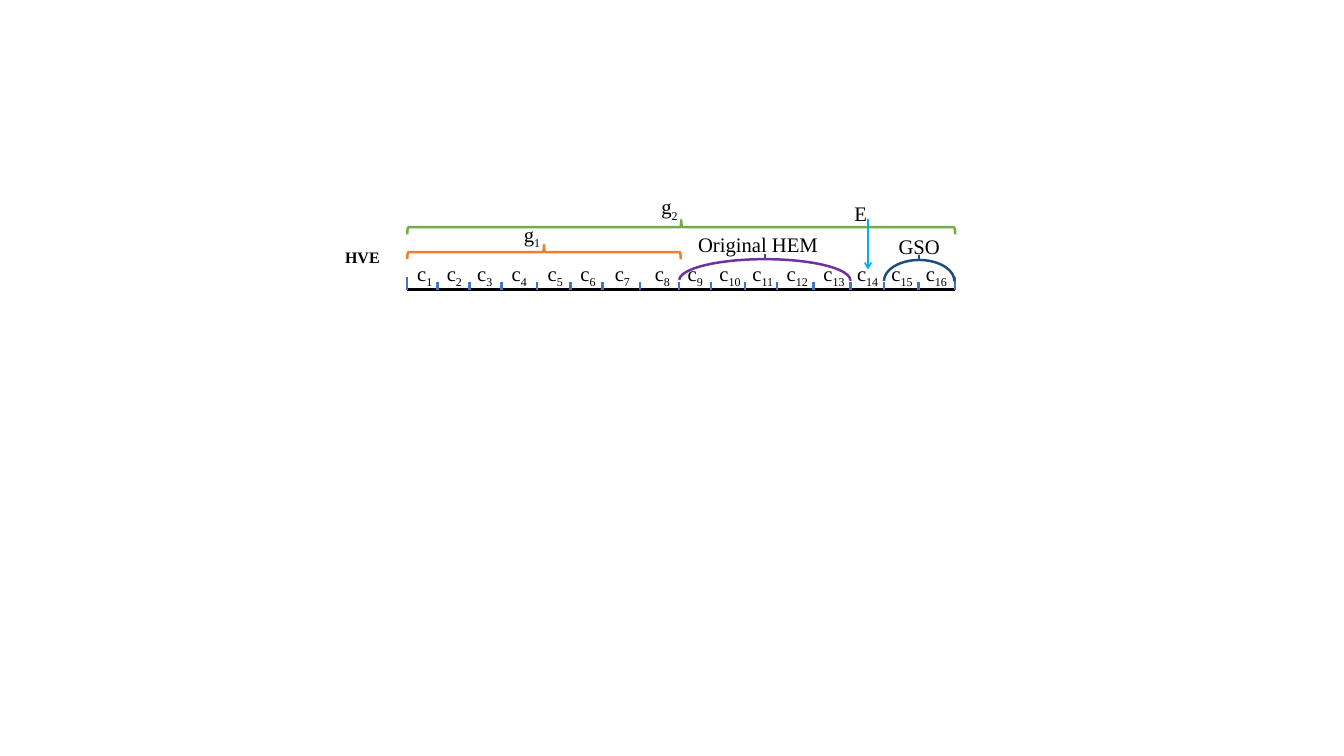
import pptx
import pptx.util
import pptx.dml.color
import pptx.enum.shapes
import pptx.enum.text
import pptx.oxml
import pptx.oxml.ns

Inches = pptx.util.Inches
Pt = pptx.util.Pt
Shape = pptx.enum.shapes.MSO_SHAPE


class Theme:
    font = "Times New Roman"
    ink = "000000"
    tick = "4472C4"
    first = "ED7D31"
    second = "70AD47"
    hem = "7030A0"
    gso = "1F4E79"
    arrow = "00B0F0"
    text = 18.6
    title = 24.8
    thick = 2.25
    thin = 1.5


TICKS = [5.09, 5.47, 5.87, 6.27, 6.71, 7.13, 7.53, 8, 8.49,
         8.89, 9.31, 9.71, 10.17, 10.63, 11.05, 11.48, 11.94]
CELLS = [5.21, 5.58, 5.96, 6.39, 6.84, 7.25, 7.68, 8.18,
         8.59, 8.98, 9.39, 9.82, 10.28, 10.7, 11.13, 11.56]
BASE = 3.62


def apply(target, values):
    for name, value in values.items():
        setattr(target, name, value)


def rgb(color):
    return pptx.dml.color.RGBColor.from_string(color)


def add_line(slide, start, end, color, width=Theme.thick, arrow=False):
    points = [Inches(v) for v in (*start, *end)]
    line = slide.shapes.add_connector(
        pptx.enum.shapes.MSO_CONNECTOR.STRAIGHT, *points)
    line.line.color.rgb = rgb(color)
    line.line.width = Pt(width)
    if arrow:
        tail = pptx.oxml.ns.qn("a:tailEnd")
        line.line._get_or_add_ln().makeelement(tail)
        pptx.oxml.ns.qn("a:ln")
        node = pptx.oxml.parse_xml(
            '<a:tailEnd %s type="arrow"/>' % pptx.oxml.ns.nsdecls("a"))
        line.line._get_or_add_ln().append(node)
    line._element.spPr.append(pptx.oxml.parse_xml(
        "<a:effectLst %s/>" % pptx.oxml.ns.nsdecls("a")))


def add_curve(slide, kind, box, color, turn=0, angles=()):
    curve = slide.shapes.add_shape(kind, *[Inches(v) for v in box])
    curve.rotation = turn
    curve.shadow.inherit = False
    curve.fill.background()
    curve.line.color.rgb = rgb(color)
    curve.line.width = Pt(Theme.thick)
    for index, angle in enumerate(angles):
        curve.adjustments[index] = angle


def add_brace(slide, left, right, top, color):
    depth, span = 0.18, right - left
    box = ((left + right - depth) / 2, top + (depth - span) / 2, depth, span)
    add_curve(slide, Shape.RIGHT_BRACE, box, color, turn=270)


def add_label(slide, box, text, sub="", size=Theme.text, bold=False, low=False):
    label = slide.shapes.add_textbox(*[Inches(v) for v in box])
    frame = label.text_frame
    apply(frame, {
        "margin_left": 0, "margin_right": 0,
        "margin_top": 0, "margin_bottom": 0,
        "word_wrap": False,
        "auto_size": pptx.enum.text.MSO_AUTO_SIZE.SHAPE_TO_FIT_TEXT,
        "vertical_anchor": pptx.enum.text.MSO_ANCHOR.MIDDLE,
    })
    para = frame.paragraphs[0]
    para.alignment = pptx.enum.text.PP_ALIGN.CENTER
    for part, lowered in ((text, low), (sub, True)):
        if not part:
            continue
        run = para.add_run()
        run.text = part
        apply(run.font, {"name": Theme.font, "size": Pt(size), "bold": bold})
        run.font.color.rgb = rgb(Theme.ink)
        if lowered:
            run._r.get_or_add_rPr().set("baseline", "-25000")


def add_scale(slide):
    add_line(slide, (TICKS[0], BASE), (TICKS[-1], BASE), Theme.ink)
    for x in TICKS:
        top = 3.46 if x in (TICKS[0], TICKS[-1]) else 3.53
        add_line(slide, (x, top), (x, BASE), Theme.tick)
    for number, left in enumerate(CELLS, 1):
        width = 0.2 if number < 10 else 0.29
        add_label(slide, (left, 3.28, width, 0.31), "c", str(number))


def add_arch(slide, box, color, stem):
    left, top, width, _ = box
    middle = left + width / 2
    add_curve(slide, Shape.ARC, box, color, angles=(108.23, 0.18))
    add_line(slide, (middle, top), (middle, top - stem), color)


def main():
    deck = pptx.Presentation()
    apply(deck, {"slide_width": Inches(16.8), "slide_height": Inches(9.45)})
    slide = deck.slides.add_slide(deck.slide_layouts[6])

    add_scale(slide)
    add_brace(slide, TICKS[0], 8.51, 3.06, Theme.first)
    add_label(slide, (6.54, 2.79, 0.22, 0.31), "g", "1")
    add_brace(slide, TICKS[0], TICKS[-1], 2.75, Theme.second)
    add_label(slide, (8.26, 2.45, 0.22, 0.31), "g", "2")
    add_label(slide, (4.28, 2.96, 0.5, 0.28), "HVE",
              size=Theme.title, bold=True, low=True)
    add_label(slide, (10.68, 2.51, 0.16, 0.31), "E")
    add_arch(slide, (8.49, 3.24, 2.14, 0.53), Theme.hem, 0.06)
    add_label(slide, (8.72, 2.9, 1.51, 0.31), "Original HEM")
    add_arch(slide, (11.05, 3.25, 0.88, 0.53), Theme.gso, 0.06)
    add_label(slide, (11.23, 2.92, 0.52, 0.31), "GSO")
    add_line(slide, (10.85, 2.74), (10.85, 3.37), Theme.arrow,
             Theme.thin, arrow=True)

    deck.save("out.pptx")


if __name__ == "__main__":
    main()
